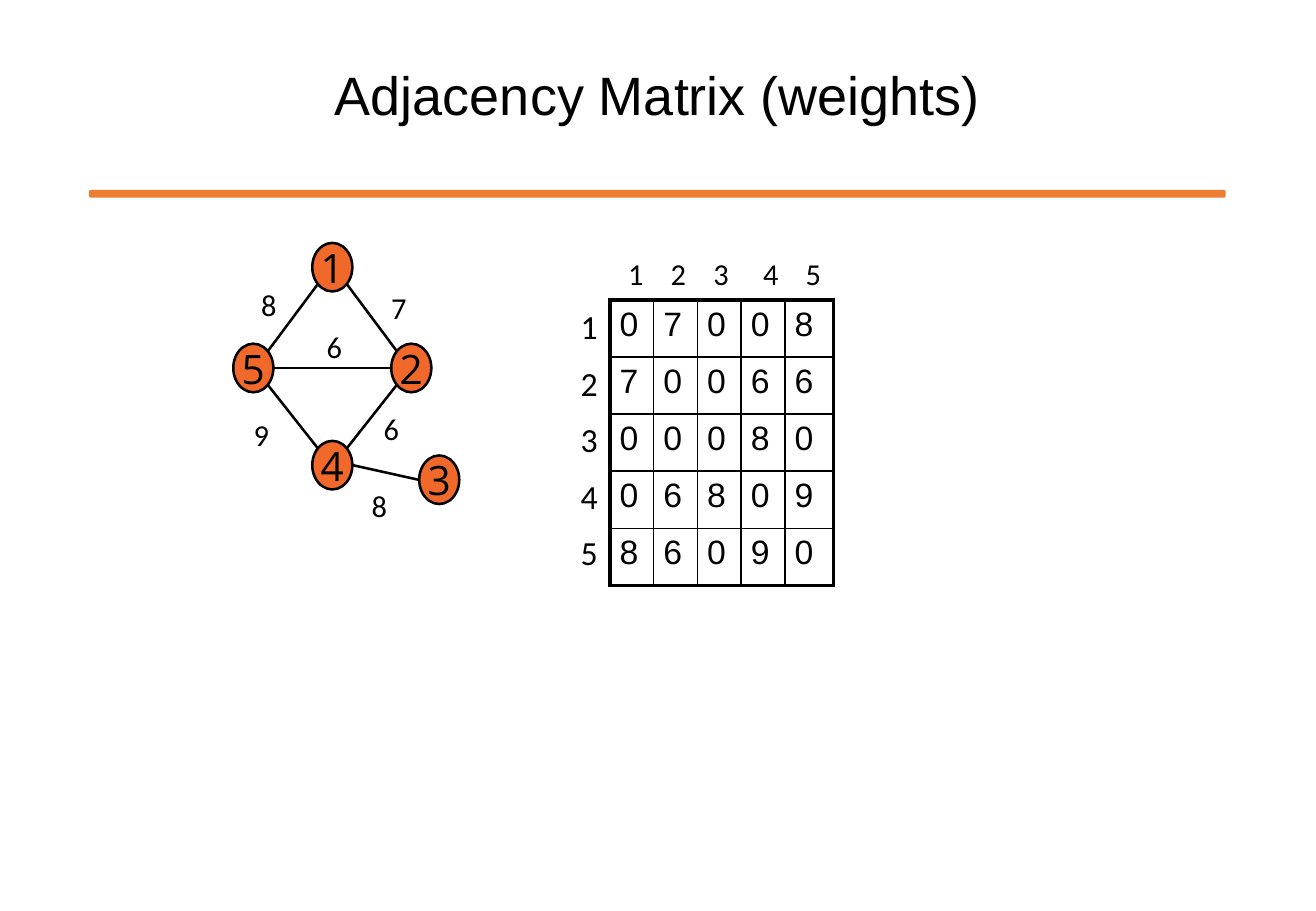
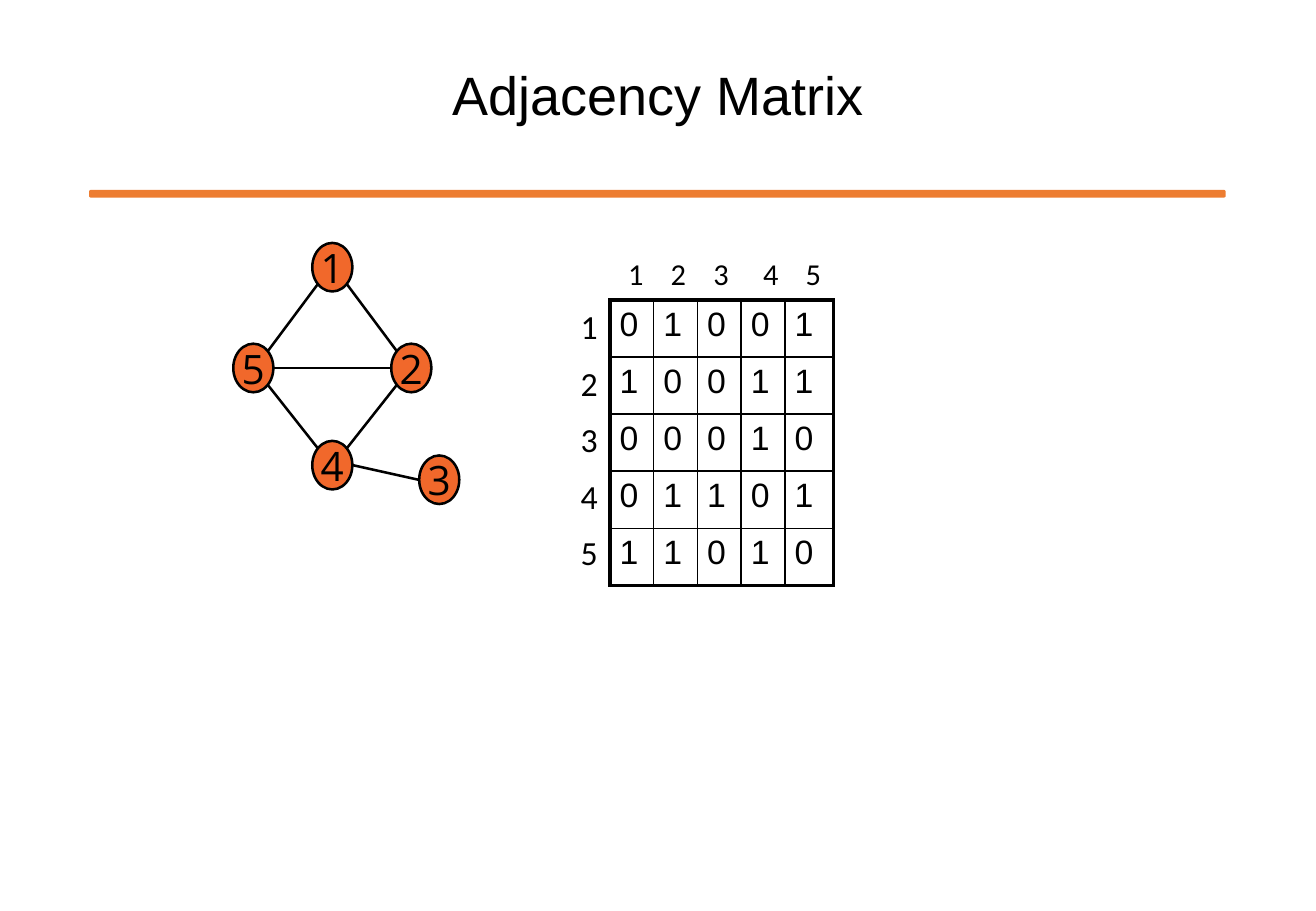
"""Build two slides showing a graph beside its adjacency matrix."""
from lxml.etree import SubElement
from pptx import Presentation
from pptx.dml.color import RGBColor
from pptx.enum.shapes import MSO_CONNECTOR, MSO_SHAPE
from pptx.enum.text import MSO_ANCHOR, PP_ALIGN
from pptx.oxml import parse_xml
from pptx.oxml.ns import nsdecls, qn
from pptx.util import Inches, Pt

BLACK = RGBColor(0, 0, 0)
WHITE = RGBColor(0xFF, 0xFF, 0xFF)
RULE = RGBColor(0xED, 0x7D, 0x31)
NODE = RGBColor(0xF1, 0x68, 0x2B)

SLIDES = [("Adjacency Matrix (weights)", True), ("Adjacency Matrix", False)]
NODES = {2: (3.22, 2.83), 5: (1.92, 2.83), 1: (2.57, 2), 4: (2.57, 3.63), 3: (3.45, 3.75)}
EDGES = [
    (1, 5, 8, (2.05, 2.31)),
    (4, 5, 9, (1.99, 3.38)),
    (4, 2, 6, (3.06, 3.33)),
    (1, 2, 7, (3.12, 2.33)),
    (4, 3, 8, (2.96, 3.96)),
    (5, 2, 6, (2.59, 2.65)),
]
IDS = sorted(NODES)
WIDE, HIGH = 0.33, 0.4
COLS, ROW = [0.36, 0.36, 0.36, 0.36, 0.4], 0.47
TABS = [0.35, 0.7, 1.11, 1.46]
THIN, THICK = 1, 2.25

TITLE = {"name": "Arial", "size": Pt(32)}
CELL = {"name": "Arial", "size": Pt(20)}
DIGIT = {"name": "Open Sans", "size": Pt(24)}
SIDE = {"name": "Calibri", "size": Pt(20)}
LABEL = {"name": "Calibri", "size": Pt(18)}
MIDDLE = {"vertical_anchor": MSO_ANCHOR.MIDDLE}


def put(obj, vals):
    for key, val in vals.items():
        setattr(obj, key, val)


def write(frame, lines, font, align=PP_ALIGN.LEFT, gap=0, **form):
    put(frame, {"word_wrap": True, **form})
    for i, line in enumerate(lines):
        para = frame.paragraphs[0] if i == 0 else frame.add_paragraph()
        put(para, {"alignment": align, "space_before": Pt(gap if i else 0)})
        run = para.add_run()
        run.text = str(line)
        put(run.font, font)
        run.font.color.rgb = BLACK


def label(slide, box, lines, font, **form):
    frame = slide.shapes.add_textbox(*map(Inches, box)).text_frame
    write(frame, lines, font, **form)
    return frame


def shape(slide, kind, box, fill, line, width):
    item = slide.shapes.add_shape(kind, *map(Inches, box))
    item.shadow.inherit = False
    item.fill.solid()
    item.fill.fore_color.rgb = fill
    item.line.color.rgb = line
    item.line.width = Pt(width)
    return item


def ends(one, two):
    (ax, ay), (bx, by) = NODES[one], NODES[two]
    right = 1 if bx > ax else -1
    flat = abs(by - ay) < 0.3
    down = 0 if flat else (1 if by > ay else -1)
    dx, dy = right * (0.17 if flat else 0.12), down * 0.14
    mx, my = WIDE / 2, HIGH / 2
    return ax + mx + dx, ay + my + dy, bx + mx - dx, by + my - dy


def graph(slide, weights):
    for num, (x, y) in NODES.items():
        item = shape(slide, MSO_SHAPE.OVAL, (x, y, WIDE, HIGH), NODE, BLACK, 1.5)
        write(item.text_frame, [num], DIGIT, PP_ALIGN.CENTER, word_wrap=False, **MIDDLE)
    for one, two, cost, (x, y) in EDGES:
        spots = map(Inches, ends(one, two))
        edge = slide.shapes.add_connector(MSO_CONNECTOR.STRAIGHT, *spots)
        edge.line.color.rgb = BLACK
        edge.line.width = Pt(1.5)
        SubElement(edge._element.spPr, qn("a:effectLst"))
        if weights:
            label(slide, (x, y, WIDE, HIGH), [cost], LABEL, word_wrap=False)


def border(cell, row, col):
    last = len(IDS) - 1
    outer = {"L": col == 0, "R": col == last, "T": row == 0, "B": row == last}
    for i, (side, edge) in enumerate(outer.items()):
        width = Pt(THICK if edge else THIN)
        line = parse_xml(
            f'<a:ln{side} {nsdecls("a")} w="{width}"><a:solidFill>'
            f'<a:srgbClr val="{BLACK}"/></a:solidFill></a:ln{side}>')
        cell._tc.get_or_add_tcPr().insert(i, line)


def matrix(slide, weights):
    size = len(IDS)
    costs = {}
    for one, two, cost, _ in EDGES:
        costs[one, two] = costs[two, one] = cost if weights else 1
    box = map(Inches, (5.02, 2.47, sum(COLS), ROW * size))
    table = slide.shapes.add_table(size, size, *box).table
    put(table, {"first_row": False, "horz_banding": False})
    for i, width in enumerate(COLS):
        table.columns[i].width = Inches(width)
        table.rows[i].height = Inches(ROW)
    for r, one in enumerate(IDS):
        for c, two in enumerate(IDS):
            cell = table.cell(r, c)
            put(cell, {"margin_left": Inches(0.08), "margin_right": Inches(0.08)})
            cell.fill.background()
            write(cell.text_frame, [costs.get((one, two), 0)], CELL)
            border(cell, r, c)
    label(slide, (4.68, 2.47, 0.41, 2.43), IDS, SIDE, gap=9.5)
    head = label(slide, (4.95, 2.05, 2.1, 0.4), ["\t".join(map(str, IDS))], LABEL,
                 margin_left=Inches(0.22))
    stops = SubElement(head.paragraphs[0]._p.get_or_add_pPr(), qn("a:tabLst"))
    for pos in TABS:
        SubElement(stops, qn("a:tab"), pos=str(Inches(pos)), algn="l")


def base(deck, title):
    slide = deck.slides.add_slide(deck.slide_layouts[6])
    slide.background.fill.solid()
    slide.background.fill.fore_color.rgb = WHITE
    shape(slide, MSO_SHAPE.ROUNDED_RECTANGLE, (0.74, 1.57, 9.34, 0.05), RULE, RULE, 1)
    label(slide, (1.76, 0.3, 7.31, 0.95), [title], TITLE, align=PP_ALIGN.CENTER, **MIDDLE)
    return slide


deck = Presentation()
put(deck, {"slide_width": Inches(10.83), "slide_height": Inches(7.5)})
for title, weights in SLIDES:
    slide = base(deck, title)
    graph(slide, weights)
    matrix(slide, weights)
deck.save("out.pptx")
